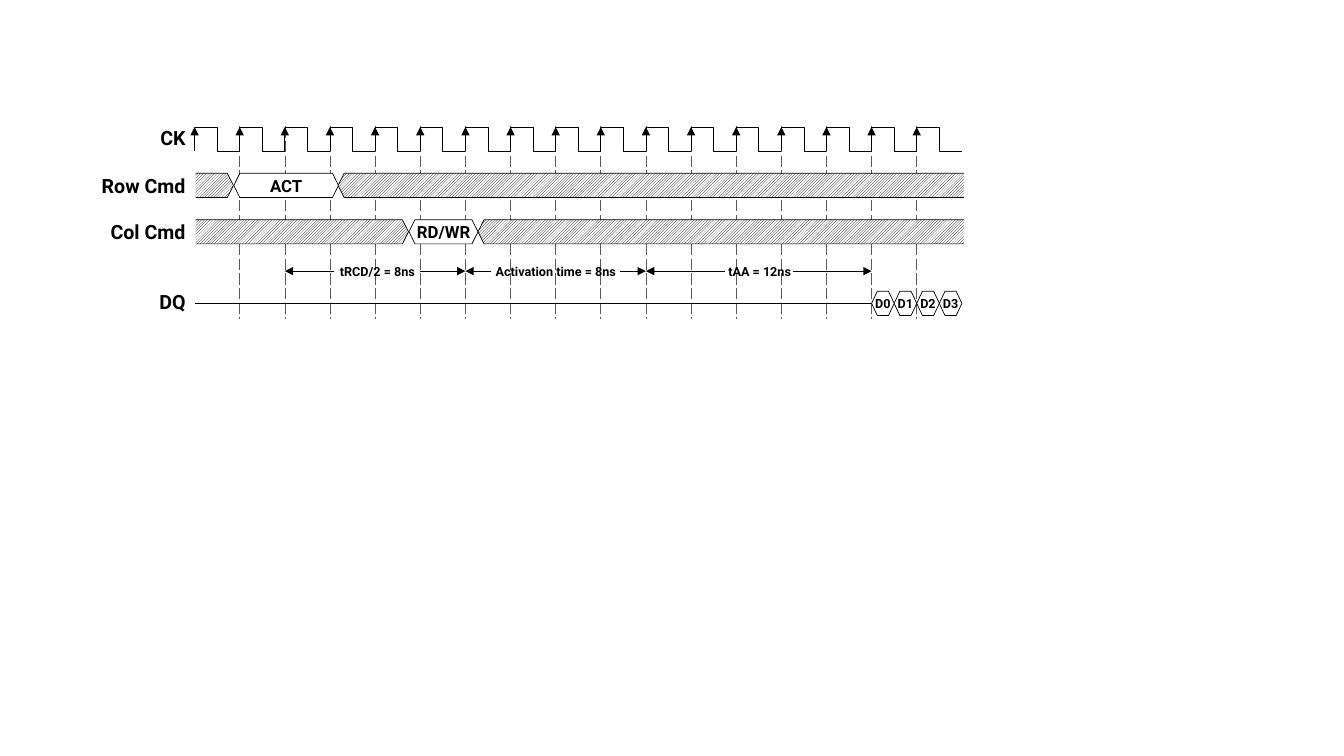
import pptx
import pptx.util
import pptx.dml.color
import pptx.enum.dml
import pptx.enum.shapes
import pptx.enum.text
import pptx.oxml
import pptx.oxml.ns

# Timing grid, in inches: one column per clock cycle
LEFT, TOP, WIDTH, HEIGHT = 1.93, 1.26, 7.61, 1.9
CYCLES = 17
PITCH = WIDTH / CYCLES
WAVE_HEIGHT = 0.24
ROW_CMD, COL_CMD, TIMING, DQ = 1.84, 2.3, 2.69, 3.01  # centre lines
BLACK, WHITE, GRAY = "000000", "FFFFFF", "595959"
FONT = "Roboto"
HATCH = pptx.enum.dml.MSO_PATTERN.LIGHT_UPWARD_DIAGONAL
SHAPES = pptx.enum.shapes.MSO_SHAPE
CONNECTORS = pptx.enum.shapes.MSO_CONNECTOR
ALIGN = pptx.enum.text.PP_ALIGN

# Waves in columns: start, end, hatched
WAVES = {
    ROW_CMD: [(0.87, 3.19, False), (-0.11, 0.86, True), (3.18, 17.34, True)],
    COL_CMD: [(-0.15, 4.74, True), (4.75, 6.28, False), (6.28, 17.36, True)],
}
# Timing arrows in columns: plain end, arrow tip
ARROWS = [(3.08, 2), (5, 6), (6.57, 6), (9.43, 10), (11.75, 10), (13.25, 15)]
TIMES = [("tRCD/2 = 8ns", 4.05, 1.11), ("Activation time = 8ns", 8, 1.62),
         ("tAA = 12ns", 12.52, 0.87)]
SIGNALS = [("CK", 1.37, 0.64), ("Row Cmd", ROW_CMD, 1.21),
           ("Col Cmd", COL_CMD, 1.06), ("DQ", 2.99, 0.8)]


def inches(value):
    return pptx.util.Inches(value)


def color(hex_string):
    return pptx.dml.color.RGBColor.from_string(hex_string)


def column(number):
    return LEFT + number * PITCH


def add_line(slide, start, end, arrow=False, kind=CONNECTORS.STRAIGHT):
    connector = slide.shapes.add_connector(kind, *map(inches, start + end))
    connector.line.color.rgb = color(BLACK)
    connector.line.width = pptx.util.Pt(0.5)
    properties = connector._element.spPr
    if arrow:
        tail = pptx.oxml.ns.qn("a:tailEnd")
        connector.line._get_or_add_ln().makeelement(tail)
        line = connector.line._get_or_add_ln()
        line.append(line.makeelement(tail, {"type": "triangle"}))
    properties.append(properties.makeelement(pptx.oxml.ns.qn("a:effectLst")))


def add_block(slide, kind, left, top, width, height, outlined=True, hatched=False):
    shape = slide.shapes.add_shape(kind, *map(inches, (left, top, width, height)))
    shape.shadow.inherit = False
    if hatched:
        shape.fill.patterned()
        shape.fill.pattern = HATCH
        shape.fill.fore_color.rgb = color(BLACK)
        shape.fill.back_color.rgb = color(WHITE)
    else:
        shape.fill.solid()
        shape.fill.fore_color.rgb = color(WHITE)
    if outlined:
        shape.line.color.rgb = color(BLACK)
        shape.line.width = pptx.util.Pt(0.5)
    else:
        shape.line.fill.background()
    return shape


def add_wave(slide, start, end, middle, hatched=False):
    return add_block(slide, SHAPES.HEXAGON, column(start), middle - WAVE_HEIGHT / 2,
                     (end - start) * PITCH, WAVE_HEIGHT, hatched=hatched)


def write(shape, text, size, alignment=ALIGN.CENTER):
    frame = shape.text_frame
    frame.text = text
    frame.word_wrap = False
    frame.vertical_anchor = pptx.enum.text.MSO_ANCHOR.MIDDLE
    paragraph = frame.paragraphs[0]
    paragraph.alignment = alignment
    font = paragraph.runs[0].font
    font.name, font.size, font.bold = FONT, pptx.util.Pt(size), True
    font.color.rgb = color(BLACK)


def add_label(slide, text, left, middle, width, height, size, alignment=ALIGN.CENTER):
    box = slide.shapes.add_textbox(
        *map(inches, (left, middle - height / 2, width, height)))
    write(box, text, size, alignment)
    box.text_frame.auto_size = pptx.enum.text.MSO_AUTO_SIZE.SHAPE_TO_FIT_TEXT


def add_cycle_grid(slide):
    table = slide.shapes.add_table(
        1, CYCLES, *map(inches, (LEFT, TOP, WIDTH, HEIGHT))).table
    table.first_row = table.horz_banding = False
    for index, cell in enumerate(table.iter_cells()):
        table.columns[index].width = inches(PITCH)
        cell.fill.background()
        sides = ["lnL"] * (index > 0) + ["lnR"] * (index < CYCLES - 1)
        for position, side in enumerate(sides):
            border = pptx.oxml.parse_xml(
                f'<a:{side} {pptx.oxml.ns.nsdecls("a")} w="6350"><a:solidFill>'
                f'<a:srgbClr val="{GRAY}"/></a:solidFill>'
                f'<a:prstDash val="dash"/></a:{side}>')
            cell._tc.get_or_add_tcPr().insert(position, border)


def add_clock(slide):
    bottom = TOP + WAVE_HEIGHT
    for cycle in range(CYCLES):
        left, right = column(cycle), column(cycle + 1)
        add_line(slide, (left, bottom), (left, TOP), arrow=True)
        add_line(slide, (left, TOP), (right, bottom), kind=CONNECTORS.ELBOW)


def add_commands(slide):
    for middle, waves in WAVES.items():
        for start, end, hatched in waves:
            wave = add_wave(slide, start, end, middle, hatched)
            if middle == ROW_CMD and not hatched:
                write(wave, "ACT", 12)
    add_label(slide, "RD/WR", 4, COL_CMD, 0.8, 0.3, 12)


def add_timing(slide):
    for start, tip in ARROWS:
        add_line(slide, (column(start), TIMING), (column(tip), TIMING), arrow=True)
    for text, center, width in TIMES:
        add_label(slide, text, column(center) - width / 2, TIMING, width, 0.25, 9)


def add_data(slide):
    add_line(slide, (LEFT, DQ), (column(15), DQ))
    for index in range(4):
        start = 15 + index / 2
        add_wave(slide, start, start + 0.5, DQ)
    for index in range(4):
        center = column(15.25 + index / 2)
        add_label(slide, f"D{index}", center - 0.19, DQ, 0.38, 0.25, 9)


def main():
    presentation = pptx.Presentation()
    presentation.slide_width, presentation.slide_height = inches(13.33), inches(7.5)
    slide = presentation.slides.add_slide(presentation.slide_layouts[6])

    add_cycle_grid(slide)
    add_commands(slide)
    add_timing(slide)
    # White covers trim the command waves at both ends
    for left, width in ((0.73, 1.21), (9.56, 0.28)):
        add_block(slide, SHAPES.RECTANGLE, left, TOP, width, HEIGHT, outlined=False)
    add_clock(slide)
    add_data(slide)
    # Signal names, right-aligned beside the grid
    for text, middle, width in SIGNALS:
        add_label(slide, text, 1.94 - width, middle, width, 0.34, 14, ALIGN.RIGHT)

    presentation.save("out.pptx")


if __name__ == "__main__":
    main()
